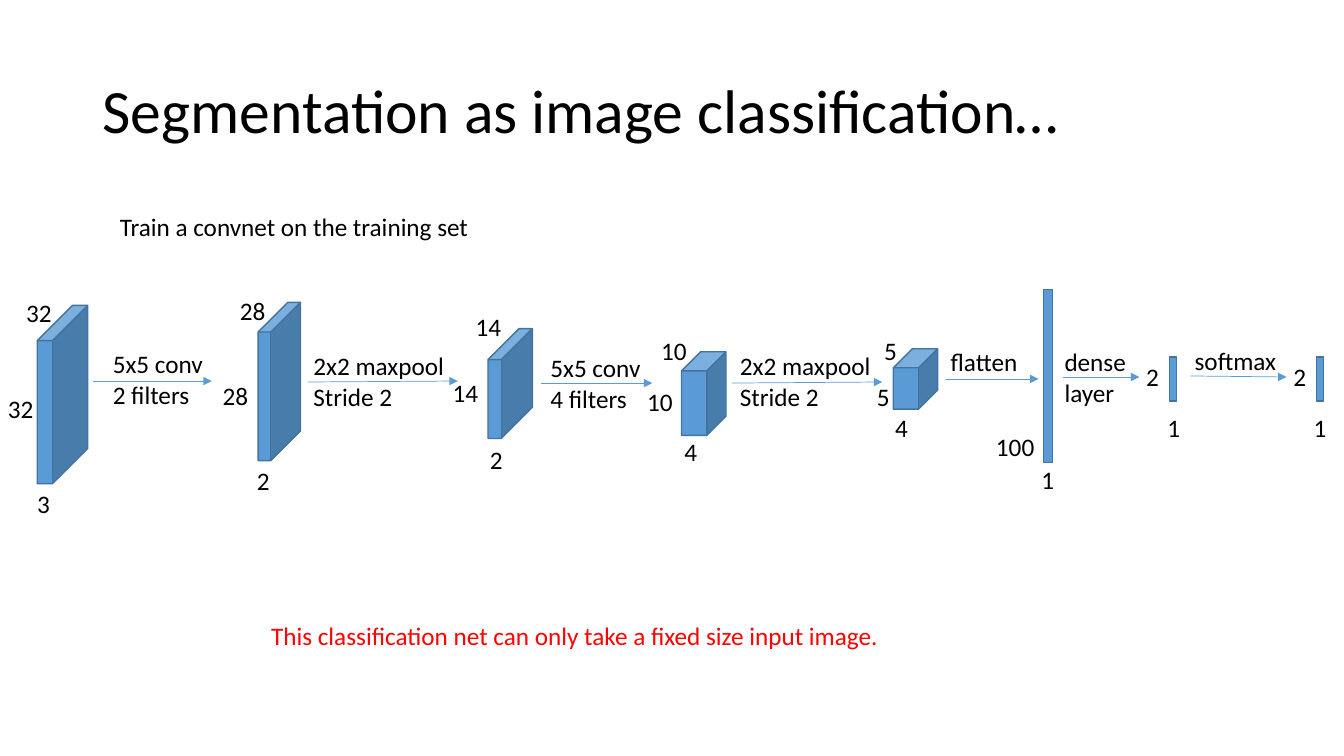
from lxml import etree
from pptx import Presentation
from pptx.dml.color import RGBColor
from pptx.enum.shapes import MSO_CONNECTOR, MSO_SHAPE
from pptx.enum.text import MSO_ANCHOR, MSO_AUTO_SIZE
from pptx.oxml.ns import qn
from pptx.util import Pt

CUBE, RECT = MSO_SHAPE.CUBE, MSO_SHAPE.RECTANGLE
STRAIGHT = MSO_CONNECTOR.STRAIGHT
MIDDLE = MSO_ANCHOR.MIDDLE
FIT = MSO_AUTO_SIZE.SHAPE_TO_FIT_TEXT

BLACK = RGBColor(0x00, 0x00, 0x00)
RED = RGBColor(0xFF, 0x00, 0x00)
BLUE = RGBColor(0x5B, 0x9B, 0xD5)
EDGE = RGBColor(0x43, 0x73, 0x9E)

FONT = "Calibri"
SCALE = 9144  # EMU per px, 100 px to the inch

# Content: lengths in px
TITLE = ("Segmentation as image classification…", (92, 40, 1150, 145))

# text, left, top, width, colour
NOTES = [
    ("Train a convnet on the training set", 109, 205, 383, BLACK),
    ("This classification net can only take a fixed size input image.",
     259, 611, 643, RED),
]

# left, top, width, height, depth of the cube (None: flat), size labels
LAYERS = [
    (37, 303, 50, 177, 0.7, [("32", 16, 290), ("32", -2, 385), ("3", 27, 480)]),
    (256, 300, 42, 157, 0.7, [("28", 228, 288), ("28", 211, 372), ("2", 245, 457)]),
    (484, 326, 44, 109, 0.7, [("14", 462, 304), ("14", 439, 369), ("2", 476, 436)]),
    (676, 349, 44, 83, 0.43, [("10", 646, 328), ("10", 632, 378), ("4", 669, 428)]),
    (886, 346, 44, 60, 0.43, [("5", 867, 328), ("5", 860, 373), ("4", 878, 404)]),
    (1035, 287, 9, 172, None, [("100", 978, 423), ("1", 1023, 456)]),
    (1160, 354, 7, 44, None, [("2", 1127, 354), ("1", 1148, 404)]),
    (1306, 354, 7, 44, None, [("2", 1273, 354), ("1", 1293, 404)]),
]

# text, left, top, width, arrow from x, y to x, y
STEPS = [
    ("5x5 conv\n2 filters", 102, 341, 111, (92, 378, 210, 378)),
    ("2x2 maxpool\nStride 2", 301, 343, 151, (305, 379, 454, 378)),
    ("5x5 conv\n4 filters", 536, 345, 111, (537, 380, 647, 380)),
    ("2x2 maxpool\nStride 2", 724, 343, 151, (726, 380, 875, 379)),
    ("flatten", 933, 339, 88, (938, 376, 1030, 376)),
    ("dense\nlayer", 1046, 339, 84, (1054, 374, 1130, 374)),
    ("softmax", 1175, 338, 102, (1181, 373, 1276, 374)),
]

deck = Presentation()
deck.slide_width, deck.slide_height = 1333 * SCALE, 750 * SCALE
slide = deck.slides.add_slide(deck.slide_layouts[6])
shapes = slide.shapes


def emu(*sizes):
    return [size * SCALE for size in sizes]


def add_text(text, left, top, width, height, size=18, color=BLACK):
    frame = shapes.add_textbox(*emu(left, top, width, height)).text_frame
    frame.text = text
    for para in frame.paragraphs:
        for run in para.runs:
            run.font.name = FONT
            run.font.size = Pt(size)
            run.font.color.rgb = color
    return frame


def add_label(text, left, top, width, color=BLACK):
    height = 40 + 31 * text.count("\n")
    frame = add_text(text, left, top, width, height, color=color)
    frame.word_wrap = False
    frame.auto_size = FIT


def add_layer(left, top, width, height, depth):
    kind = RECT if depth is None else CUBE
    block = shapes.add_shape(kind, *emu(left, top, width, height))
    if depth is not None:
        block.adjustments[0] = depth
    block.shadow.inherit = False
    block.fill.solid()
    block.fill.fore_color.rgb = BLUE
    block.line.color.rgb = EDGE
    block.line.width = Pt(1)


def add_arrow(ends):
    arrow = shapes.add_connector(STRAIGHT, *emu(*ends))
    arrow.line.color.rgb = BLUE
    arrow.line.width = Pt(0.5)
    line = arrow.line._get_or_add_ln()
    etree.SubElement(line, qn("a:tailEnd"), type="triangle")
    etree.SubElement(arrow._element.spPr, qn("a:effectLst"))


# Title and notes
text, box = TITLE
title = add_text(text, *box, size=44)
title.word_wrap = True
title.vertical_anchor = MIDDLE
title.paragraphs[0].line_spacing = 0.9
for note in NOTES:
    add_label(*note)

# Layers with their sizes
for *block, labels in LAYERS:
    add_layer(*block)
    for text, left, top in labels:
        add_label(text, left, top, 20 + 13 * len(text))

# Steps between the layers
for *label, ends in STEPS:
    add_arrow(ends)
    add_label(*label)

deck.save("out.pptx")
